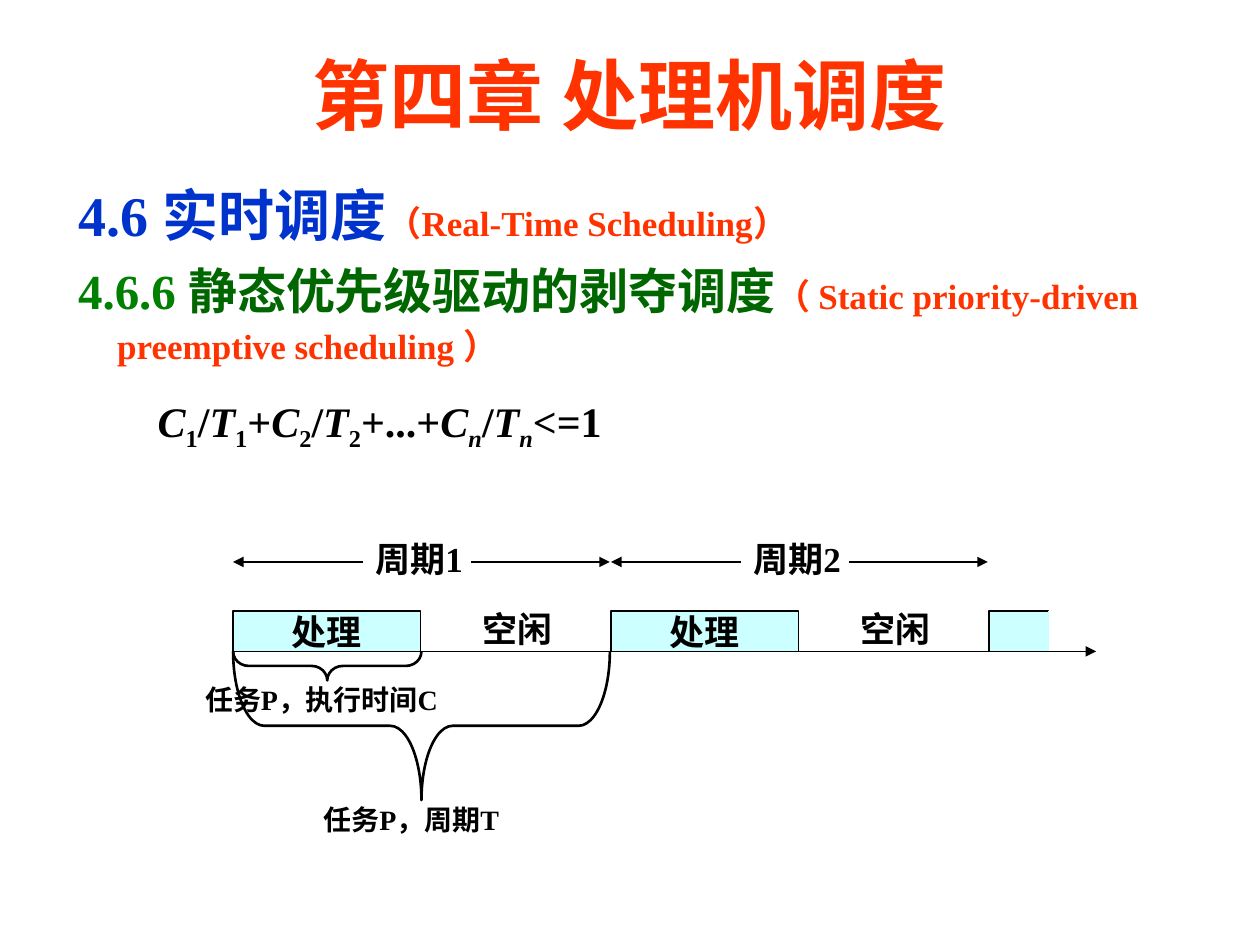
import pptx
import pptx.util
import pptx.dml.color
import pptx.enum.shapes
import pptx.enum.text
import pptx.oxml.ns
import lxml.etree

Inches = pptx.util.Inches
Pt = pptx.util.Pt
Color = pptx.dml.color.RGBColor
Shape = pptx.enum.shapes.MSO_SHAPE
Align = pptx.enum.text.PP_ALIGN
Anchor = pptx.enum.text.MSO_ANCHOR
Fit = pptx.enum.text.MSO_AUTO_SIZE

BLACK = Color(0x00, 0x00, 0x00)
RED = Color(0xFF, 0x33, 0x00)
BLUE = Color(0x00, 0x33, 0xCC)
GREEN = Color(0x00, 0x80, 0x00)
DARK = Color(0x00, 0x66, 0x00)
CYAN = Color(0xCC, 0xFF, 0xFF)
FONT = "Times New Roman"


def add_tag(node, tag, **attrs):
    part = lxml.etree.SubElement(node, pptx.oxml.ns.qn(tag))
    for key, value in attrs.items():
        part.set(key, value)
    return part


def add_text(par, text, size=20, color=BLACK, slant=False, sub=False):
    run = par.add_run()
    run.text = text
    font = run.font
    font.name = FONT
    font.size = Pt(size)
    font.bold = True
    font.italic = slant
    font.color.rgb = color
    if sub:
        run._r.get_or_add_rPr().set("baseline", "-25000")


def place(shape, left, top, width, height):
    shape.left, shape.top = Inches(left), Inches(top)
    shape.width, shape.height = Inches(width), Inches(height)


def add_label(slide, text, left, top, width, height=0.43, **form):
    box = slide.shapes.add_textbox(
        Inches(left), Inches(top), Inches(width), Inches(height))
    box.text_frame.word_wrap = True
    add_text(box.text_frame.paragraphs[0], text, **form)


def add_line(slide, start, end, color=BLACK, arrow=True):
    line = slide.shapes.add_connector(
        pptx.enum.shapes.MSO_CONNECTOR.STRAIGHT,
        Inches(start[0]), Inches(start[1]), Inches(end[0]), Inches(end[1]))
    line.line.color.rgb = color
    line.line.width = Pt(0.75)
    if arrow:
        add_tag(line.line._get_or_add_ln(), "a:tailEnd", type="triangle")
    add_tag(line._element.spPr, "a:effectLst")


def add_block(slide, left, top, width, height, text=None):
    block = slide.shapes.add_shape(
        Shape.RECTANGLE, Inches(left), Inches(top), Inches(width), Inches(height))
    block.shadow.inherit = False
    block.fill.solid()
    block.fill.fore_color.rgb = CYAN
    block.line.color.rgb = BLACK
    block.line.width = Pt(0.75)
    if text:
        frame = block.text_frame
        frame.word_wrap = False
        frame.vertical_anchor = Anchor.MIDDLE
        frame.paragraphs[0].alignment = Align.CENTER
        add_text(frame.paragraphs[0], text)


def add_brace(slide, left, top, width, height, curve):
    shift = (width - height) / 2
    brace = slide.shapes.add_shape(
        Shape.LEFT_BRACE, Inches(left + shift), Inches(top - shift),
        Inches(height), Inches(width))
    brace.rotation = 270
    brace.adjustments[0] = curve
    brace.shadow.inherit = False
    brace.fill.background()
    brace.line.color.rgb = BLACK
    brace.line.width = Pt(1.5)


def set_par(par, left, first):
    par.line_spacing = 1.1
    props = par._p.get_or_add_pPr()
    props.set("marL", str(Inches(left)))
    props.set("indent", str(Inches(first)))
    space = add_tag(props, "a:spcBef")
    add_tag(space, "a:spcPct", val="15000")
    add_tag(props, "a:buNone")


def fill_title(slide, *box):
    title = slide.shapes.title
    place(title, *box)
    frame = title.text_frame
    frame.auto_size = Fit.NONE
    frame.vertical_anchor = Anchor.MIDDLE
    frame.paragraphs[0].alignment = Align.CENTER
    add_text(frame.paragraphs[0], "第四章 处理机调度", size=44, color=RED)


def fill_body(slide, *box):
    body = slide.placeholders[1]
    place(body, *box)
    frame = body.text_frame
    frame.auto_size = Fit.NONE
    heads = [
        [("4.6 实时调度", 32, BLUE), ("（Real-Time Scheduling）", 20, RED)],
        [("4.6.6 ", 28, GREEN), ("静态优先级驱动的剥夺调度", 28, DARK),
         ("（ Static priority-driven preemptive scheduling ）", 20, RED)],
    ]
    for index, head in enumerate(heads):
        par = frame.add_paragraph() if index else frame.paragraphs[0]
        set_par(par, 0.31, -0.31)
        for text, size, color in head:
            add_text(par, text, size=size, color=color)
    par = frame.add_paragraph()
    par.level = 1
    set_par(par, 0.73, -0.21)
    add_text(par, " ", size=32)
    for sign, mark in (("", "1"), ("+", "2"), ("+...+", "n")):
        if sign:
            add_text(par, sign, size=24)
        for name, link in (("C", "/"), ("T", "")):
            add_text(par, name, size=24, slant=True)
            add_text(par, mark, size=24, slant=mark == "n", sub=True)
            if link:
                add_text(par, link, size=24)
    add_text(par, "<=1", size=24)


def draw_time(slide, left, top, width, height):
    base = top + height
    block = 0.32
    step = 3
    add_line(slide, (left, base), (left + width, base))
    for index in range(2):
        x = left + index * step
        add_block(slide, x, base - block, 1.49, block, "处理")
        add_label(slide, "空闲", x + 1.88, base - 0.4, 1.02)
        add_label(slide, f"周期{index + 1}", x + 1.03, top, 1.18)
        y = top + 0.24
        add_line(slide, (x + 1.03, y), (x, y))
        add_line(slide, (x + 1.89, y), (x + 2.99, y))
    x = left + 2 * step
    add_block(slide, x, base - block, 0.47, block)
    add_line(slide, (x + 0.47, base - block), (x + 0.47, base),
             color=CYAN, arrow=False)


def draw_tasks(slide, left, top, width, height):
    add_label(slide, "任务P，执行时间C", left - 0.32, top + 0.2, 2.13, 0.37, size=16)
    add_brace(slide, left, top, width / 2, 0.23, 0.54)
    add_label(slide, "任务P，周期T", left + 0.62, top + 1.15, 1.73, 0.37, size=16)
    add_brace(slide, left, top, width, height, 0.21)


def main():
    deck = pptx.Presentation()
    deck.slide_width, deck.slide_height = Inches(10), Inches(7.5)
    slide = deck.slides.add_slide(deck.slide_layouts[1])
    fill_title(slide, 0.75, 0.28, 8.5, 0.92)
    fill_body(slide, 0.52, 1.33, 8.9, 2.33)
    draw_time(slide, 1.85, 4.22, 6.85, 0.95)
    draw_tasks(slide, 1.85, 5.17, 2.99, 1.18)
    deck.save("out.pptx")


if __name__ == "__main__":
    main()
